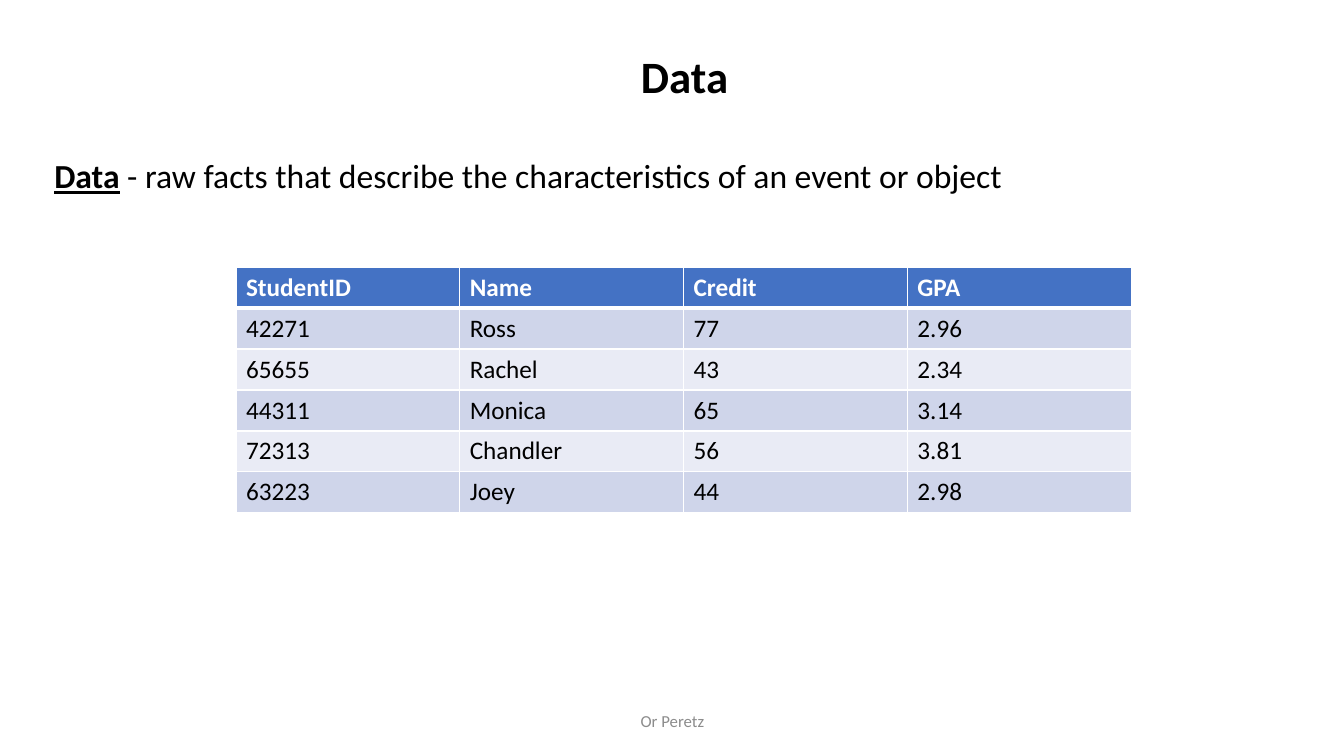
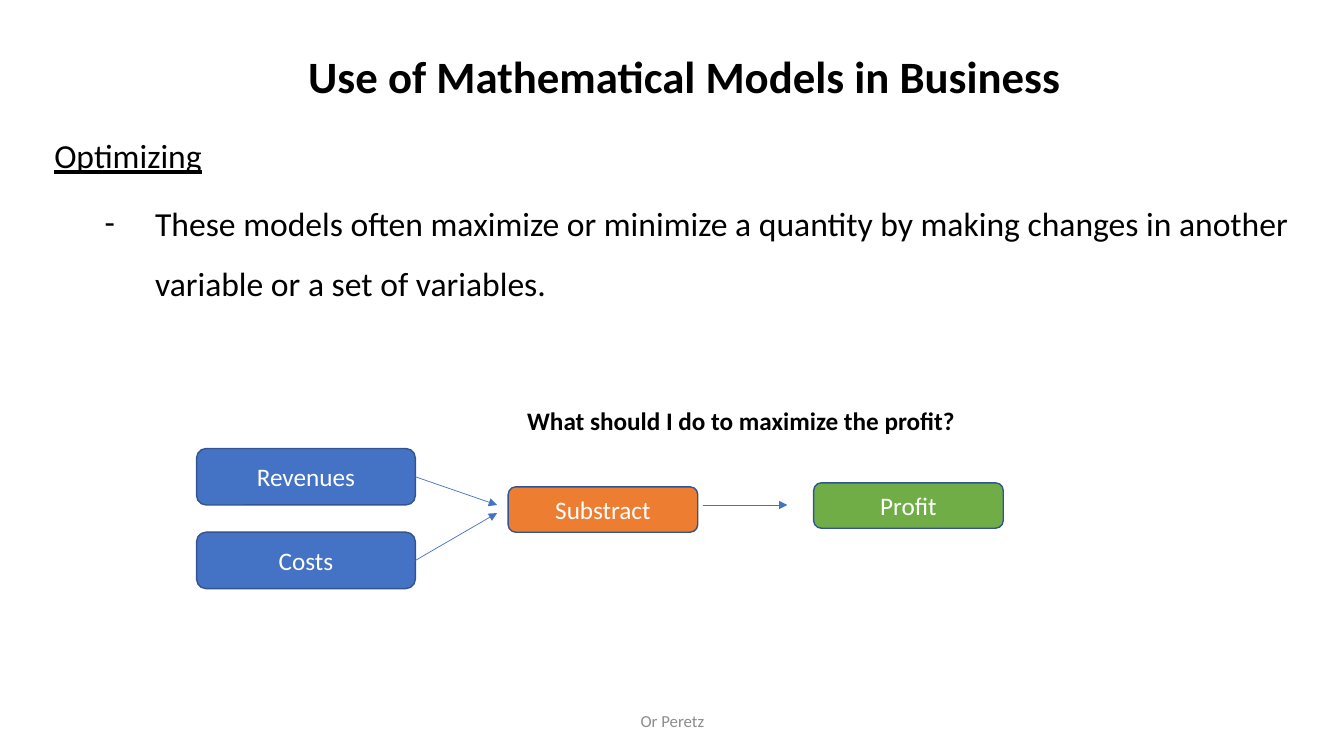
from lxml.etree import SubElement as Sub
from pptx import Presentation
from pptx.dml.color import RGBColor
from pptx.enum.shapes import MSO_CONNECTOR as Line, MSO_SHAPE as Shape
from pptx.enum.text import MSO_ANCHOR as Anchor, PP_ALIGN as Align
from pptx.oxml.ns import qn
from pptx.util import Inches, Pt

FONT = "Calibri"
HUES = {
    "text": "000000", "white": "FFFFFF", "foot": "8C8C8C",
    "blue": "4472C4", "edge": "325491", "orange": "ED7D31",
    "green": "70AD47", "band": "CFD5EA", "pale": "E9EBF5",
}
LEFT, WIDE = 0.44, 12.7
STUDENTS = [
    ("StudentID", "Name", "Credit", "GPA"),
    ("42271", "Ross", "77", "2.96"),
    ("65655", "Rachel", "43", "2.34"),
    ("44311", "Monica", "65", "3.14"),
    ("72313", "Chandler", "56", "3.81"),
    ("63223", "Joey", "44", "2.98"),
]


def hue(name):
    return RGBColor.from_string(HUES[name])


def box(*sizes):
    return [Inches(size) for size in sizes]


def add_run(para, text, size, color="text", bold=False, under=False):
    run = para.add_run()
    run.text = text
    font = run.font
    font.name, font.size = FONT, Pt(size)
    font.bold, font.underline = bold, under
    font.color.rgb = hue(color)


def add_text(slide, x, y, w, h, wrap=True):
    frame = slide.shapes.add_textbox(*box(x, y, w, h)).text_frame
    frame.word_wrap = wrap
    return frame


def add_slide(deck, title):
    """Add a slide with the shared title and footer."""
    slide = deck.slides.add_slide(deck.slide_layouts[5])
    head = slide.shapes.title
    head.left, head.top, head.width, head.height = box(LEFT, 0.3, WIDE, 0.9)
    head.text_frame.vertical_anchor = Anchor.MIDDLE
    para = head.text_frame.paragraphs[0]
    para.alignment = Align.CENTER
    add_run(para, title, 32, bold=True)

    foot = add_text(slide, 4.42, 6.95, 4.5, 0.4)
    foot.vertical_anchor = Anchor.MIDDLE
    para = foot.paragraphs[0]
    para.alignment = Align.CENTER
    add_run(para, "Or Peretz", 12, "foot")
    return slide


def add_body(slide, y, h):
    frame = add_text(slide, LEFT, y, WIDE, h)
    frame.paragraphs[0].line_spacing = 1.5
    return frame


def add_dash(frame, text):
    para = frame.add_paragraph()
    props = para._p.get_or_add_pPr()
    props.set("marL", str(Inches(1)))
    props.set("indent", str(Inches(-0.5)))
    Sub(props, qn("a:buFont"), typeface=FONT)
    Sub(props, qn("a:buChar"), char="-")
    para.line_spacing, para.space_before = 1.5, Pt(5)
    add_run(para, text, 24)


def set_edges(cell, **widths):
    props = cell._tc.get_or_add_tcPr()
    for side in "LRTB":
        width = Pt(widths.get(side, 1))
        line = Sub(props, qn(f"a:ln{side}"), w=str(width))
        fill = Sub(line, qn("a:solidFill"))
        Sub(fill, qn("a:srgbClr"), val=HUES["white"])


def add_grid(slide, rows, x, y, w, h):
    table = slide.shapes.add_table(
        len(rows), len(rows[0]), *box(x, y, w, h)).table
    table.horz_banding = False
    for i, row in enumerate(rows):
        head = i == 0
        fill = "blue" if head else "band" if i % 2 else "pale"
        for j, text in enumerate(row):
            cell = table.cell(i, j)
            set_edges(cell, T=3 if i == 1 else 1, B=3 if head else 1)
            cell.fill.solid()
            cell.fill.fore_color.rgb = hue(fill)
            add_run(cell.text_frame.paragraphs[0], text, 18,
                    "white" if head else "text", bold=head)


def add_node(slide, text, fill, x, y, w, h):
    node = slide.shapes.add_shape(Shape.ROUNDED_RECTANGLE, *box(x, y, w, h))
    node.shadow.inherit = False
    node.fill.solid()
    node.fill.fore_color.rgb = hue(fill)
    node.line.color.rgb = hue("edge")
    node.line.width = Pt(1)
    node.text_frame.vertical_anchor = Anchor.MIDDLE
    para = node.text_frame.paragraphs[0]
    para.alignment = Align.CENTER
    add_run(para, text, 18, "white")
    return node


def add_arrow(slide, x1, y1, x2, y2, start=None):
    """Draw an arrow, joined to the right side of start if given."""
    arrow = slide.shapes.add_connector(Line.STRAIGHT, *box(x1, y1, x2, y2))
    if start is not None:
        arrow.begin_connect(start, 3)
    arrow.line.color.rgb = hue("blue")
    arrow.line.width = Pt(0.5)
    Sub(arrow.line._get_or_add_ln(), qn("a:tailEnd"), type="triangle")
    Sub(arrow._element.spPr, qn("a:effectLst"))


def add_flow(slide, x, y):
    """Draw the profit model with its top left corner at x, y."""
    ask = add_text(slide, x + 3.18, y, 4.48, 0.4, wrap=False)
    add_run(ask.paragraphs[0], "What should I do to maximize the profit?",
            18, bold=True)
    w, h, mid = 2.17, 0.56, y + 1.04
    inputs = (("Revenues", y + 0.48, mid), ("Costs", y + 1.31, mid + 0.08))
    for text, top, tip in inputs:
        node = add_node(slide, text, "blue", x, top, w, h)
        add_arrow(slide, x + w, top + h / 2, x + 2.98, tip, node)
    add_node(slide, "Substract", "orange", x + 3.09, y + 0.86, 1.88, 0.45)
    add_arrow(slide, x + 5.02, mid, x + 5.86, mid)
    add_node(slide, "Profit", "green", x + 6.12, y + 0.82, 1.88, 0.45)


def data_slide(deck):
    slide = add_slide(deck, "Data")
    para = add_body(slide, 1.29, 0.75).paragraphs[0]
    add_run(para, "Data", 24, bold=True, under=True)
    add_run(para, " - raw facts that describe the characteristics "
            "of an event or object", 24)
    add_grid(slide, STUDENTS, 2.34, 2.65, 8.88, 2.44)


def model_slide(deck):
    slide = add_slide(deck, "Use of Mathematical Models in Business")
    frame = add_body(slide, 1.09, 2.1)
    add_run(frame.paragraphs[0], "Optimizing", 24, under=True)
    add_dash(frame, "These models often maximize or minimize a quantity by "
             "making changes in another variable or a set of variables.")
    add_flow(slide, 1.95, 3.97)


def main():
    deck = Presentation()
    deck.slide_width, deck.slide_height = box(13.33, 7.5)
    data_slide(deck)
    model_slide(deck)
    deck.save("out.pptx")


if __name__ == "__main__":
    main()
